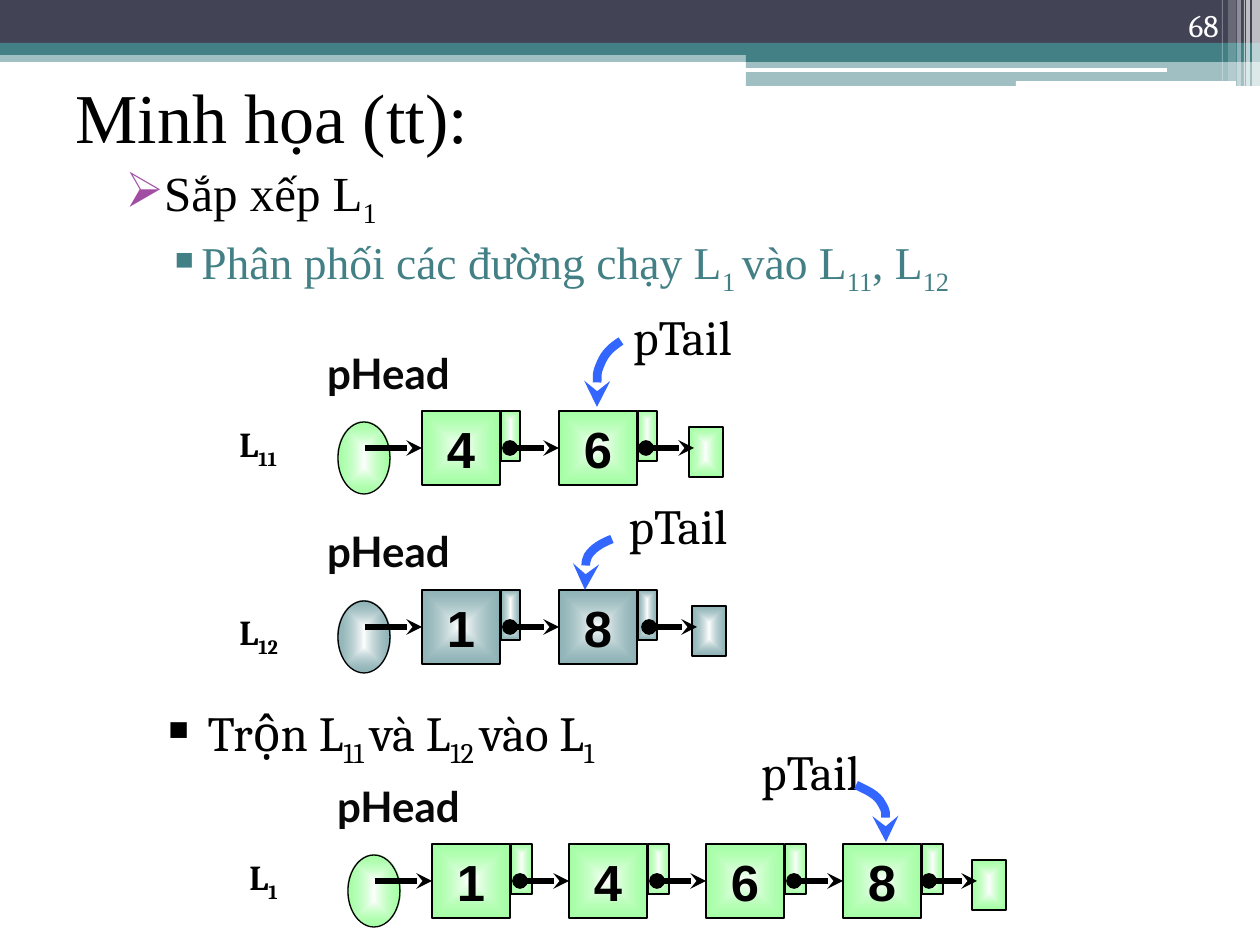
import dataclasses

import pptx
import pptx.dml.color
import pptx.enum.shapes
import pptx.enum.text
import pptx.oxml
import pptx.oxml.ns
import pptx.util

SCALE = 914400 / 126
SHAPE = pptx.enum.shapes.MSO_SHAPE
ALIGN = pptx.enum.text.PP_ALIGN
ANCHOR = pptx.enum.text.MSO_ANCHOR
NS = pptx.oxml.ns.nsdecls("a")


@dataclasses.dataclass(frozen=True)
class Theme:
    """Colours, fonts and type sizes of the slide."""
    black: str = "000000"
    white: str = "FFFFFF"
    navy: str = "424456"
    teal: str = "438086"
    green: str = "69FF69"
    purple: str = "A04DA3"
    blue: str = "3366FF"
    head_ink: str = "080808"
    heading_font: str = "Times New Roman"
    text_font: str = "Cambria"
    value_font: str = "Arial"
    head_font: str = "Lato"
    title: int = 40
    body: int = 28
    detail: int = 26
    value: int = 29
    head: int = 24
    label: int = 20
    number: int = 18


THEME = Theme()

BANDS = [
    (0, 50, 1260, 12, THEME.teal, 50),
    (0, 0, 1260, 43, THEME.navy, 100),
    (0, 43, 1260, 12, THEME.teal, 100),
    (746, 49, 514, 13, THEME.teal, 100),
    (746, 61, 514, 25, THEME.teal, 50),
    (745, 68, 422, 4, THEME.white, 100),
    (1016, 81, 220, 5, THEME.white, 100),
    (1252, 0, 8, 86, THEME.white, 65),
    (1246, 0, 4, 86, THEME.white, 65),
    (1244, 0, 1, 86, THEME.white, 60),
    (1237, 0, 4, 86, THEME.white, 40),
    (1228, 0, 8, 81, THEME.white, 20),
    (1222, 0, 1, 81, THEME.white, 30),
]

LISTS = [
    dict(values="46", x=422, y=411, cell_width=19, null_x=689, color=THEME.green,
         name="11", name_at=(227, 416, 82, 54), tail_at=(621, 306, 123, 54),
         curve=[(621, 341), (612, 347), (605, 353), (601, 363),
                (596, 374), (597, 391), (597, 407)]),
    dict(values="18", x=422, y=590, cell_width=19, null_x=692, color=THEME.teal,
         name="12", name_at=(227, 604, 82, 54), tail_at=(612, 495, 132, 54),
         curve=[(612, 539), (602, 543), (593, 548), (588, 556),
                (585, 564), (585, 577), (585, 590)]),
    dict(values="1468", x=432, y=844, cell_width=21, null_x=972, color=THEME.green,
         name="1", name_at=(237, 849, 82, 54), tail_at=(750, 741, 121, 44),
         curve=[(856, 785), (866, 790), (877, 794), (882, 804),
                (887, 813), (886, 828), (886, 842)]),
]


def px(*lengths):
    """Turn pixel lengths into EMU."""
    return [round(length * SCALE) for length in lengths]


def rgb(color):
    """Make a colour from its hex code."""
    return pptx.dml.color.RGBColor.from_string(color)


def write(paragraph, pieces, size, font, color, bold=False):
    """Add runs, with every second piece set as a subscript."""
    for index, piece in enumerate(pieces):
        run = paragraph.add_run()
        run.text = piece
        run.font.size = pptx.util.Pt(size)
        run.font.name = font
        run.font.bold = bold
        run.font.color.rgb = rgb(color)
        if index % 2:
            run._r.get_or_add_rPr().set("baseline", "-25000")


def add_bullet(paragraph, symbol, color, margin, hang):
    """Give a paragraph a coloured bullet on a hanging indent."""
    properties = paragraph._p.get_or_add_pPr()
    left, indent = px(margin, -hang)
    properties.set("marL", str(left))
    properties.set("indent", str(indent))
    for xml in (f'<a:buClr {NS}><a:srgbClr val="{color}"/></a:buClr>',
                f'<a:buChar {NS} char="{symbol}"/>'):
        properties.append(pptx.oxml.parse_xml(xml))


def add_textbox(shapes, box, inset=True):
    """Add a wrapping text box and return its text frame."""
    frame = shapes.add_textbox(*px(*box)).text_frame
    frame.word_wrap = True
    if not inset:
        frame.margin_left = frame.margin_right = 0
        frame.margin_top = frame.margin_bottom = 0
    return frame


def add_caption(shapes, box, text, size, font, color, bold=False):
    """Add a centred pointer name without insets."""
    paragraph = add_textbox(shapes, box, inset=False).paragraphs[0]
    paragraph.alignment = ALIGN.CENTER
    write(paragraph, [text], size, font, color, bold)


def add_band(shapes, x, y, width, height, color, opacity):
    """Add one plain bar of the header."""
    band = shapes.add_shape(SHAPE.RECTANGLE, *px(x, y, width, height))
    band.shadow.inherit = False
    band.line.fill.background()
    band.fill.solid()
    band.fill.fore_color.rgb = rgb(color)
    if opacity < 100:
        band.fill._xPr.find(".//" + pptx.oxml.ns.qn("a:srgbClr")).append(
            pptx.oxml.parse_xml(f'<a:alpha {NS} val="{opacity * 1000}"/>'))


def add_glow(shapes, kind, box, color):
    """Add an outlined shape shaded from a white centre."""
    glow = shapes.add_shape(kind, *px(*box))
    glow.shadow.inherit = False
    glow.line.color.rgb = rgb(THEME.black)
    glow.line.width = pptx.util.Pt(0.75)
    glow.fill.solid()
    solid = glow._element.spPr.find(pptx.oxml.ns.qn("a:solidFill"))
    solid.getparent().replace(solid, pptx.oxml.parse_xml(
        f'<a:gradFill {NS} rotWithShape="1"><a:gsLst>'
        f'<a:gs pos="0"><a:srgbClr val="{THEME.white}"/></a:gs>'
        f'<a:gs pos="100000"><a:srgbClr val="{color}"><a:alpha val="60000"/></a:srgbClr></a:gs>'
        '</a:gsLst><a:path path="shape">'
        '<a:fillToRect l="50000" t="50000" r="50000" b="50000"/></a:path></a:gradFill>'))
    return glow


def style_arrow(arrow, color, width, dotted=False):
    """Set the stroke of an arrow, with an optional dot at its start."""
    arrow.line.color.rgb = rgb(color)
    arrow.line.width = pptx.util.Pt(width)
    stroke = arrow.line._get_or_add_ln()
    if dotted:
        stroke.append(pptx.oxml.parse_xml(f'<a:headEnd {NS} type="oval"/>'))
    stroke.append(pptx.oxml.parse_xml(f'<a:tailEnd {NS} type="stealth"/>'))


def add_link(shapes, start, end, y, target=None, dotted=True):
    """Add a straight pointer, joined to the left of a node when given."""
    link = shapes.add_connector(pptx.enum.shapes.MSO_CONNECTOR.STRAIGHT, *px(start, y, end, y))
    style_arrow(link, THEME.black, 3, dotted)
    link._element.spPr.append(pptx.oxml.parse_xml(f"<a:effectLst {NS}/>"))
    if target is not None:
        link.end_connect(target, 1)


def add_curve(shapes, points):
    """Add a curved arrow through cubic Bézier points."""
    builder = shapes.build_freeform(*points[0], scale=SCALE)
    builder.add_line_segments(points[1:], close=False)
    curve = builder.convert_to_shape()
    curve.shadow.inherit = False
    curve.fill.background()
    style_arrow(curve, THEME.blue, 5)
    steps = list(curve._element.iter(pptx.oxml.ns.qn("a:lnTo")))
    for first in range(0, len(steps), 3):
        bezier = pptx.oxml.parse_xml(f"<a:cubicBezTo {NS}/>")
        steps[first].addprevious(bezier)
        for step in steps[first:first + 3]:
            bezier.append(step[0])
            step.getparent().remove(step)


def add_linked_list(slide, values, x, y, cell_width, null_x, color, name, name_at, tail_at, curve):
    """Draw one linked list with its head, nodes, null cell and tail pointer."""
    shapes = slide.shapes.add_group_shape().shapes
    middle = y + 37
    add_glow(shapes, SHAPE.OVAL, (x - 84, y + 11, 52, 72), color)
    add_glow(shapes, SHAPE.RECTANGLE, (null_x, y + 16, 34, 50), color)
    lefts = [x + 137 * index for index in range(len(values))]
    nodes = []
    for left, value in zip(lefts, values):
        add_glow(shapes, SHAPE.RECTANGLE, (left + 79, y, cell_width, 50), color)
        node = add_glow(shapes, SHAPE.RECTANGLE, (left, y, 78, 74), color)
        paragraph = node.text_frame.paragraphs[0]
        paragraph.alignment = ALIGN.CENTER
        write(paragraph, [value], THEME.value, THEME.value_font, THEME.black, True)
        nodes.append(node)
    add_link(shapes, x - 57, x, middle, nodes[0], dotted=False)
    for left, node in zip(lefts, nodes[1:]):
        add_link(shapes, left + 88, left + 137, middle, node)
    add_link(shapes, null_x - 43, null_x + 5, middle)
    add_caption(shapes, (x - 102, y - 64, 137, 58), "pHead",
                THEME.head, THEME.head_font, THEME.head_ink, True)
    add_caption(shapes, tail_at, "pTail", THEME.body, THEME.text_font, THEME.black)
    add_curve(shapes, curve)
    write(add_textbox(shapes, name_at).paragraphs[0], ["L", name],
          THEME.label, THEME.text_font, THEME.black, True)


def add_title(slide, text):
    """Place and format the title."""
    title = slide.shapes.title
    title.left, title.top, title.width, title.height = px(63, 42, 1134, 147)
    title.text_frame.vertical_anchor = ANCHOR.MIDDLE
    paragraph = title.text_frame.paragraphs[0]
    paragraph.alignment = ALIGN.LEFT
    write(paragraph, [text], THEME.title, THEME.heading_font, THEME.black)


def add_steps(slide):
    """Write the sorting steps and the merging step."""
    frame = add_textbox(slide.shapes, (98, 156, 1162, 159))
    sort, split = frame.paragraphs[0], frame.add_paragraph()
    split.level = 1
    for paragraph in (sort, split):
        paragraph.alignment = ALIGN.JUSTIFY
        paragraph.space_before = pptx.util.Pt(3)
    add_bullet(sort, "➢", THEME.purple, 50, 35)
    write(sort, ["Sắp xếp L", "1"], THEME.body, THEME.heading_font, THEME.black)
    add_bullet(split, "▪", THEME.teal, 91, 34)
    write(split, ["Phân phối các đường chạy L", "1 ", "vào L", "11", ", L", "12"],
          THEME.detail, THEME.heading_font, THEME.teal)
    merge = add_textbox(slide.shapes, (117, 696, 1053, 72)).paragraphs[0]
    merge.level = 1
    add_bullet(merge, "▪", THEME.black, 63, 32)
    write(merge, [" Trộn L", "11 ", "và L", "12 ", "vào L", "1"],
          THEME.body, THEME.text_font, THEME.black)


def add_page_number(slide, number):
    """Write the page number in the header."""
    frame = add_textbox(slide.shapes, (1126, 0, 105, 50))
    frame.vertical_anchor = ANCHOR.BOTTOM
    frame.paragraphs[0].alignment = ALIGN.RIGHT
    write(frame.paragraphs[0], [number], THEME.number, THEME.text_font, THEME.white)


def main():
    """Build and save the slide."""
    deck = pptx.Presentation()
    deck.slide_width, deck.slide_height = px(1260, 945)
    slide = deck.slides.add_slide(deck.slide_layouts[5])
    for band in BANDS:
        add_band(slide.shapes, *band)
    add_title(slide, "Minh họa (tt):")
    add_steps(slide)
    for linked_list in LISTS:
        add_linked_list(slide, **linked_list)
    add_page_number(slide, "68")
    deck.save("out.pptx")


if __name__ == "__main__":
    main()
